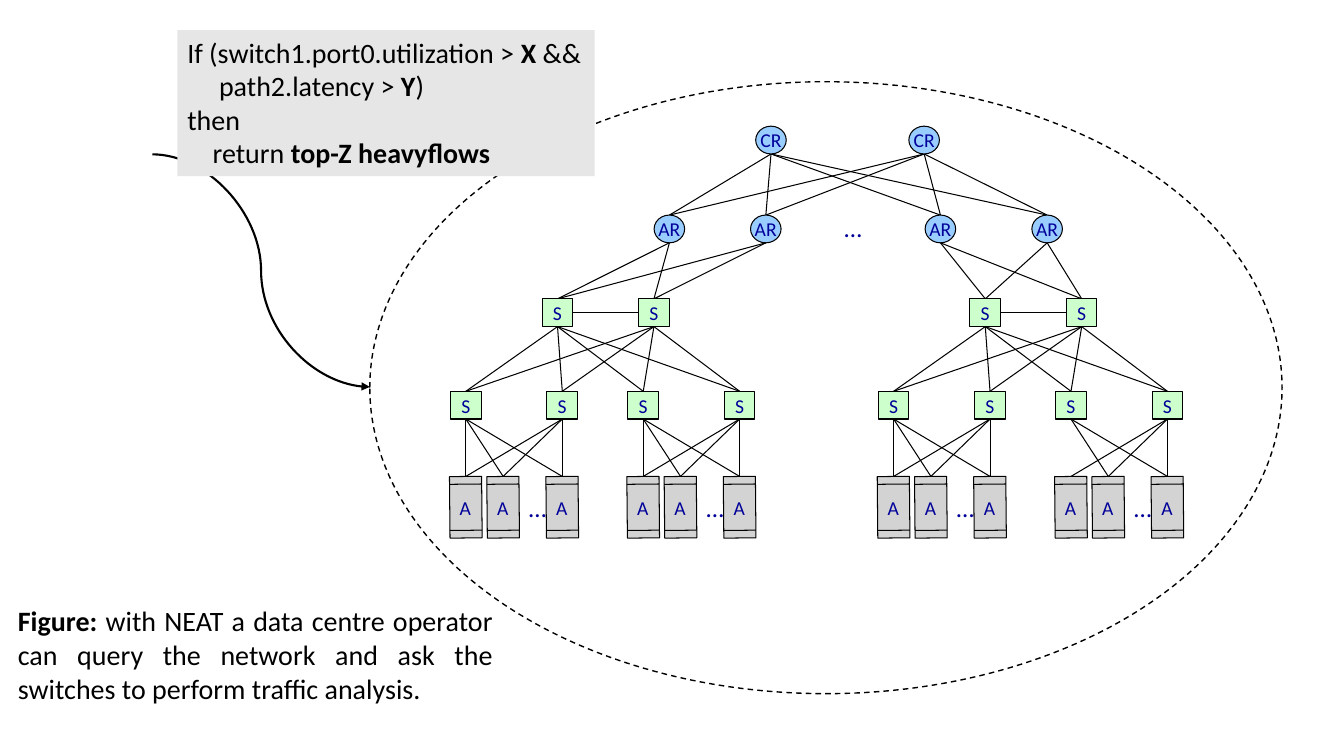
from itertools import product

from lxml.etree import SubElement
from pptx import Presentation
from pptx.dml.color import RGBColor
from pptx.enum.dml import MSO_LINE
from pptx.enum.shapes import MSO_CONNECTOR, MSO_SHAPE
from pptx.enum.text import MSO_ANCHOR, PP_ALIGN
from pptx.oxml.ns import qn
from pptx.util import Cm, Pt

BLACK = RGBColor(0x00, 0x00, 0x00)
NAVY = RGBColor(0x00, 0x00, 0x99)
ROUTER_BLUE = RGBColor(0x99, 0xCC, 0xFF)
SWITCH_GREEN = RGBColor(0xCC, 0xFF, 0xCC)
SERVER_GREY = RGBColor(0xCC, 0xCC, 0xCC)
QUERY_GREY = RGBColor(0xE7, 0xE6, 0xE6)
FONT = "Calibri"

# Layout in centimetres: x and y are the centres of the nodes
NODE_W, NODE_H = 0.77, 0.7
SERVER_W, SERVER_H = 0.81, 1.55
CORE_Y, ACCESS_Y, AGGREGATION_Y, EDGE_Y, SERVER_Y = 3.53, 5.77, 7.88, 10.21, 12.78
CORE_XS = (19.43, 23.29)
ACCESS_XS = (16.87, 19.3, 23.7, 26.39)
POD_XS = (14.05, 24.83)
SWITCH_GAP = 2.43
RACK_OFFSETS = (-2.31, 2.16)
SERVER_OFFSETS = (0, 0.94, SWITCH_GAP)


def add_outline(slide, kind, left, top, width, height, fill=None, line_pt=None):
    shape = slide.shapes.add_shape(kind, Cm(left), Cm(top), Cm(width), Cm(height))
    shape.shadow.inherit = False
    if fill is None:
        shape.fill.background()
    else:
        shape.fill.solid()
        shape.fill.fore_color.rgb = fill
    if line_pt is None:
        shape.line.fill.background()
    else:
        shape.line.color.rgb = BLACK
        shape.line.width = Pt(line_pt)
    return shape


def style_run(run, size, color, bold=False):
    run.font.name = FONT
    run.font.size = Pt(size)
    run.font.bold = bold
    run.font.color.rgb = color


def set_label(shape, text, size):
    frame = shape.text_frame
    frame.text = text
    frame.word_wrap = False
    paragraph = frame.paragraphs[0]
    paragraph.alignment = PP_ALIGN.CENTER
    style_run(paragraph.runs[0], size, NAVY)


def add_node(slide, kind, text, x, y, fill):
    node = add_outline(slide, kind, x - NODE_W / 2, y - NODE_H / 2,
                       NODE_W, NODE_H, fill, 0.75)
    node.text_frame.vertical_anchor = MSO_ANCHOR.MIDDLE
    set_label(node, text, 14)


def add_router(slide, text, x, y):
    add_node(slide, MSO_SHAPE.OVAL, text, x, y, ROUTER_BLUE)


def add_switch(slide, x, y):
    add_node(slide, MSO_SHAPE.RECTANGLE, "S", x, y, SWITCH_GREEN)


def add_server(slide, x):
    # The preset lies on its side, so length and breadth swap before turning
    server = add_outline(slide, MSO_SHAPE.FLOWCHART_PREDEFINED_PROCESS,
                         x - SERVER_H / 2, SERVER_Y - SERVER_W / 2,
                         SERVER_H, SERVER_W, SERVER_GREY, 0.75)
    server.rotation = 269.5
    server.text_frame.vertical_anchor = MSO_ANCHOR.MIDDLE
    set_label(server, "A", 14)
    server.element.txBody.find(qn("a:bodyPr")).set("vert", "eaVert")
    grey = server.element.spPr.find(qn("a:solidFill"))[0]
    SubElement(grey, qn("a:alpha"), val="85000")


def add_ellipsis(slide, x, top):
    ellipsis = slide.shapes.add_textbox(Cm(x - 0.45), Cm(top), Cm(0.9), Cm(1.09))
    set_label(ellipsis, "…", 18)


def add_link(slide, start, end, kind=MSO_CONNECTOR.STRAIGHT, width=0.75, arrow=False):
    points = [Cm(value) for value in (*start, *end)]
    link = slide.shapes.add_connector(kind, *points)
    link.line.color.rgb = BLACK
    link.line.width = Pt(width)
    properties = link.element.spPr
    if arrow:
        SubElement(properties.find(qn("a:ln")), qn("a:tailEnd"), type="triangle")
    SubElement(properties, qn("a:effectLst"))


def link_tiers(slide, upper_xs, upper_y, lower_xs, lower_y,
               lower_h=NODE_H, missing=()):
    for pair in product(range(len(upper_xs)), range(len(lower_xs))):
        if pair not in missing:
            upper, lower = pair
            add_link(slide, (upper_xs[upper], upper_y + NODE_H / 2),
                     (lower_xs[lower], lower_y - lower_h / 2))


def add_rack(slide, x, missing):
    switch_xs = (x, x + SWITCH_GAP)
    server_xs = [x + offset for offset in SERVER_OFFSETS]
    link_tiers(slide, switch_xs, EDGE_Y, server_xs, SERVER_Y, SERVER_H, missing)
    for switch_x in switch_xs:
        add_switch(slide, switch_x, EDGE_Y)
    for server_x in server_xs:
        add_server(slide, server_x)
    add_ellipsis(slide, x + 1.79, 12.27)


def add_pod(slide, x, access_xs, missing_by_rack):
    switch_xs = (x, x + SWITCH_GAP)
    link_tiers(slide, access_xs, ACCESS_Y, switch_xs, AGGREGATION_Y)
    add_link(slide, (x + NODE_W / 2, AGGREGATION_Y),
             (x + SWITCH_GAP - NODE_W / 2, AGGREGATION_Y))
    for offset, missing in zip(RACK_OFFSETS, missing_by_rack):
        rack_x = x + offset
        link_tiers(slide, switch_xs, AGGREGATION_Y,
                   (rack_x, rack_x + SWITCH_GAP), EDGE_Y)
        add_rack(slide, rack_x, missing)
    for switch_x in switch_xs:
        add_switch(slide, switch_x, AGGREGATION_Y)


def write_lines(frame, lines, alignment):
    """Each line is an indent in cm and a list of (text, bold) pieces."""
    frame.word_wrap = True
    frame.vertical_anchor = MSO_ANCHOR.TOP
    for number, (indent, pieces) in enumerate(lines):
        paragraph = frame.add_paragraph() if number else frame.paragraphs[0]
        paragraph.alignment = alignment
        if indent:
            paragraph._p.get_or_add_pPr().set("marL", str(Cm(indent)))
        for text, bold in pieces:
            run = paragraph.add_run()
            run.text = text
            style_run(run, 20, BLACK, bold)


def main():
    presentation = Presentation()
    presentation.slide_width, presentation.slide_height = Cm(33.87), Cm(19.05)
    slide = presentation.slides.add_slide(presentation.slide_layouts[6])

    # Routers at the top of the tree
    link_tiers(slide, CORE_XS, CORE_Y, ACCESS_XS, ACCESS_Y)
    for x in CORE_XS:
        add_router(slide, "CR", x, CORE_Y)
    for x in ACCESS_XS:
        add_router(slide, "AR", x, ACCESS_Y)
    add_ellipsis(slide, 21.48, 5.23)

    # Pods of switches and servers; the last rack lacks one direct link
    add_pod(slide, POD_XS[0], ACCESS_XS[:2], ((), ()))
    add_pod(slide, POD_XS[1], ACCESS_XS[2:], ((), ((0, 0),)))

    # Network boundary and the query that enters it
    boundary = add_outline(slide, MSO_SHAPE.OVAL, 9.32, 2.06, 22.99, 15.42, line_pt=1)
    boundary.line.dash_style = MSO_LINE.DASH
    add_link(slide, (3.84, 3.89), (9.32, 9.75), MSO_CONNECTOR.CURVE, 1.5, arrow=True)
    query = add_outline(slide, MSO_SHAPE.RECTANGLE, 4.47, 0.76, 10.52, 3.68, QUERY_GREY)
    write_lines(query.text_frame, [
        (0, [("If (switch1.port0.utilization > ", False), ("X", True), (" &&", False)]),
        (0.8, [("path2.latency > ", False), ("Y", True), (")", False)]),
        (0, [("then", False)]),
        (0.64, [("return ", False), ("top-Z heavyflows", True)]),
    ], PP_ALIGN.LEFT)

    # Caption
    caption = slide.shapes.add_textbox(Cm(0.2), Cm(15.09), Cm(12.47), Cm(2.82))
    write_lines(caption.text_frame, [
        (0, [("Figure:", True),
             (" with NEAT a data centre operator can query the network and ask "
              "the switches to perform traffic analysis.", False)]),
    ], PP_ALIGN.JUSTIFY)

    presentation.save("out.pptx")


main()
